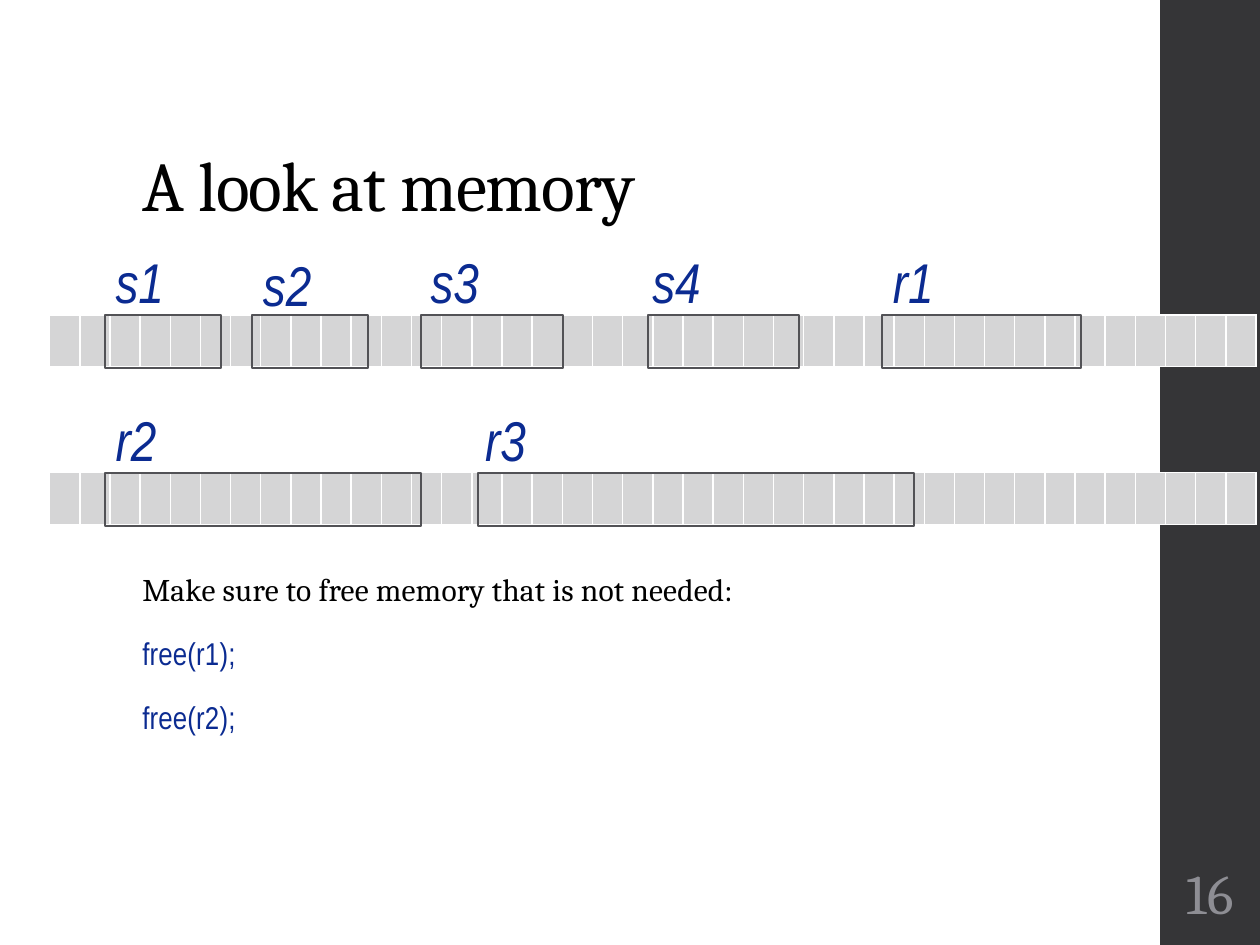
"""Builds the slide that shows strings and results laid out in memory."""
from lxml import etree
from pptx import Presentation
from pptx.dml.color import RGBColor
from pptx.enum import shapes, text
from pptx.oxml import ns
from pptx.util import Cm, Pt

SERIF, NARROW = "Cambria", "Arial Narrow"
BLACK, BLUE, WHITE = "000000", "0B2B91", "FFFFFF"
SIDEBAR, PAGE_GREY, CELL_GREY, OUTLINE = "353537", "8E8E94", "D5D5D6", "525256"

TITLE = "A look at memory"
PAGE = "16"
ADVICE = [
    ("Make sure to free memory that is not needed:", SERIF, BLACK),
    ("free(r1);", NARROW, BLUE),
    ("free(r2);", NARROW, BLUE),
]
# Each block: name, left, width, label left, label drop (cm)
MEMORY = [
    (6.35, [
        ("s1", 2.11, 2.34, 2.08, 0),
        ("s2", 5.08, 2.34, 5.05, 0.06),
        ("s3", 8.48, 2.87, 8.43, 0),
        ("s4", 13.06, 3.05, 12.9, 0),
        ("r1", 17.78, 4.01, 17.75, 0),
    ]),
    (9.53, [
        ("r2", 2.11, 6.38, 2.08, 0),
        ("r3", 9.63, 8.79, 9.53, 0),
    ]),
]
CELLS, CELL_WIDTH, STRIP_LEFT, STRIP_HEIGHT = 40, 0.58, 1, 1.04
BLOCK_HEIGHT, LABEL_RISE = 1.07, 1.48


def paint(color_format, value):
    color_format.rgb = RGBColor.from_string(value)


def box(left, top, width, height):
    return Cm(left), Cm(top), Cm(width), Cm(height)


def add_run(paragraph, words, font, size, color, italic=None, spacing=None):
    run = paragraph.add_run()
    run.text = words
    run.font.name, run.font.size, run.font.italic = font, Pt(size), italic
    paint(run.font.color, color)
    if spacing:
        run.font._element.set("spc", str(spacing))


def add_frame(slide, *place):
    frame = slide.shapes.add_textbox(*box(*place)).text_frame
    frame.word_wrap = True
    return frame


def add_rectangle(slide, place, fill=None, line=None):
    rectangle = slide.shapes.add_shape(shapes.MSO_SHAPE.RECTANGLE, *box(*place))
    rectangle.shadow.inherit = False
    for part, color in ((rectangle.fill, fill), (rectangle.line.fill, line)):
        if color:
            part.solid()
            paint(part.fore_color, color)
        else:
            part.background()
    if line:
        rectangle.line.width = Pt(1.1)


def add_borders(cell, color):
    properties = cell._tc.get_or_add_tcPr()
    for index, side in enumerate(("lnL", "lnR", "lnT", "lnB")):
        border = etree.Element(ns.qn(f"a:{side}"), w=str(Pt(1)))
        solid = etree.SubElement(border, ns.qn("a:solidFill"))
        etree.SubElement(solid, ns.qn("a:srgbClr"), val=color)
        properties.insert(index, border)


def add_strip(slide, top):
    place = box(STRIP_LEFT, top, CELLS * CELL_WIDTH, STRIP_HEIGHT)
    table = slide.shapes.add_table(1, CELLS, *place).table
    table.first_row = table.horz_banding = False
    for column, cell in zip(table.columns, table.iter_cells()):
        column.width = Cm(CELL_WIDTH)
        cell.fill.solid()
        paint(cell.fill.fore_color, CELL_GREY)
        add_borders(cell, WHITE)


def add_title(slide):
    title = slide.shapes.title
    title.left, title.top, title.width, title.height = box(2.62, 1.02, 20.19, 3.68)
    frame = title.text_frame
    frame.auto_size = text.MSO_AUTO_SIZE.NONE
    frame.vertical_anchor = text.MSO_ANCHOR.BOTTOM
    heading = frame.paragraphs[0]
    heading.alignment = text.PP_ALIGN.LEFT
    heading.line_spacing = 0.9
    add_run(heading, TITLE, SERIF, 40, BLACK, spacing=-50)


def add_advice(slide):
    frame = add_frame(slide, 2.62, 11.43, 17.91, 6.93)
    for index, (words, font, color) in enumerate(ADVICE):
        paragraph = frame.add_paragraph() if index else frame.paragraphs[0]
        paragraph.line_spacing = 0.95
        paragraph.space_before, paragraph.space_after = Pt(14), Pt(2)
        add_run(paragraph, words, font, 18, color, spacing=10)


def add_page_number(slide):
    frame = add_frame(slide, 23.44, 17.15, 1.91, 1.65)
    frame.margin_left = frame.margin_right = Cm(0.08)
    frame.vertical_anchor = text.MSO_ANCHOR.MIDDLE
    frame.paragraphs[0].alignment = text.PP_ALIGN.CENTER
    add_run(frame.paragraphs[0], PAGE, SERIF, 32, PAGE_GREY)


def main():
    deck = Presentation()
    deck.slide_width, deck.slide_height = Cm(25.4), Cm(19.05)
    slide = deck.slides.add_slide(deck.slide_layouts[5])
    add_rectangle(slide, (23.39, 0, 2.03, 19.05), fill=SIDEBAR)
    add_title(slide)
    add_advice(slide)
    add_page_number(slide)
    for top, blocks in MEMORY:
        add_strip(slide, top)
        for name, left, width, label_left, drop in blocks:
            add_rectangle(slide, (left, top, width, BLOCK_HEIGHT), line=OUTLINE)
            label = add_frame(slide, label_left, top - LABEL_RISE + drop, 2.13, 1.63)
            add_run(label.paragraphs[0], name, NARROW, 32, BLUE, italic=True)
    deck.save("out.pptx")


if __name__ == "__main__":
    main()
